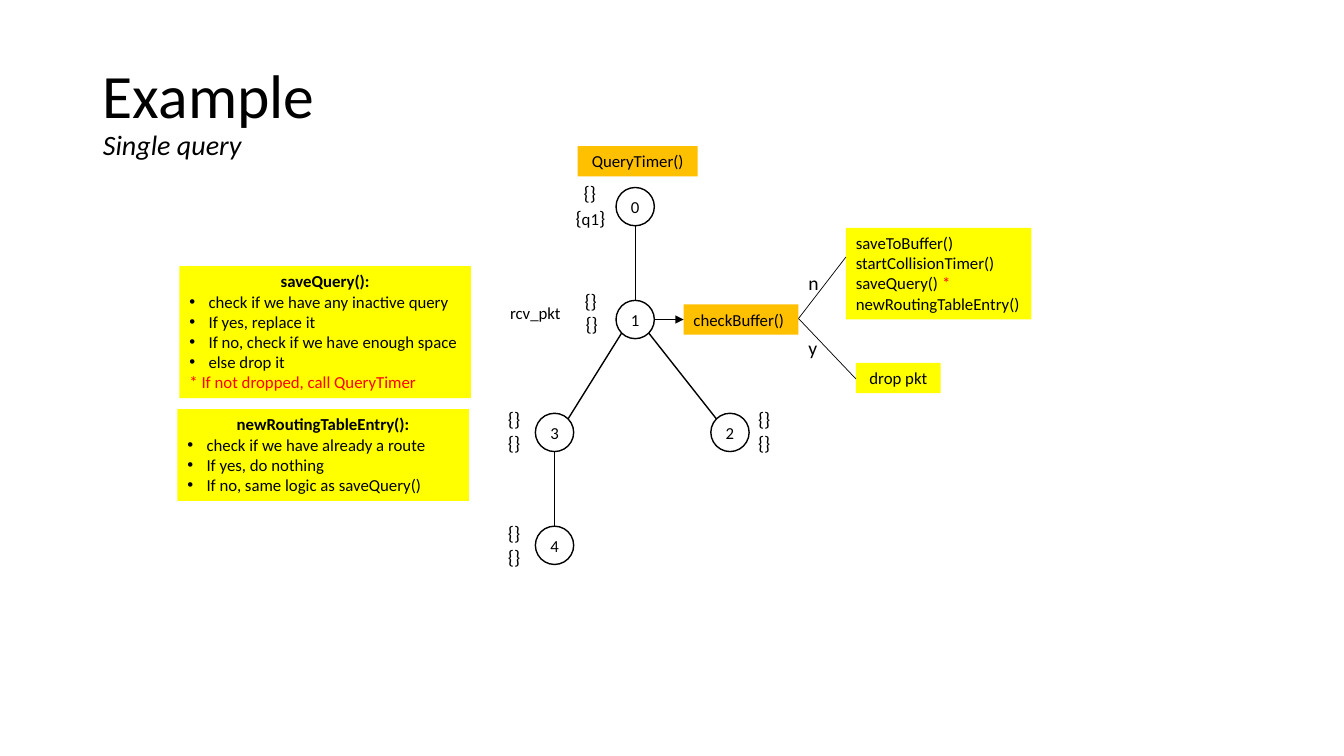
from pptx import Presentation
from pptx.dml.color import RGBColor
from pptx.enum.shapes import MSO_CONNECTOR as Conn, MSO_SHAPE as Kind
from pptx.enum.text import MSO_ANCHOR as Anchor, MSO_AUTO_SIZE as Auto, PP_ALIGN as Align
from pptx.oxml.ns import qn
from pptx.util import Inches, Pt
from lxml.etree import SubElement

HUE = {"ink": "000000", "paper": "FFFFFF", "call": "FFC000", "step": "FFFF00", "note": "FF0000"}
FONT = "Calibri"
WIDE, HIGH = 13.33, 7.5

TITLE = ("Example", "Single query")
COLS = (5.5, 6.3, 7.24)
TOP, STEP, DIAM = 2.05, 1.12, 0.38
NODES = {"0": (1, 0), "1": (1, 1), "2": (2, 2), "3": (0, 2), "4": (0, 3)}
DOWN, UP, DIAG = (0, 1), (0, -1), 0.71
EDGES = [
    ("0", DOWN, "1", UP),
    ("1", (-DIAG, DIAG), "3", (DIAG, -DIAG)),
    ("1", (DIAG, DIAG), "2", (-DIAG, -DIAG)),
    ("3", DOWN, "4", UP),
]
BRACES = [(5.69, 1.75), (5.7, 2.82), (5.71, 3.05)] + [
    (x, y + gap) for x, y in ((4.94, 3.99), (4.94, 5.12), (7.42, 3.99)) for gap in (0, 0.24)
]
QUERY = [("{", {}), ("q1", {"size": 12}), ("}", {})]
LABELS = [
    (QUERY, (5.61, 1.99, 0.49, 0.34), 14),
    ("n", (7.92, 2.64, 0.23, 0.34), 14),
    ("y", (7.92, 3.28, 0.23, 0.34), 14),
    ("rcv_pkt", (4.96, 2.95, 0.72, 0.3), 12),
]
CALLS = [
    ("QueryTimer()", (5.73, 1.45, 1.19, 0.3), "call", Align.CENTER),
    ("checkBuffer()", (6.78, 3.02, 1.14, 0.3), "call", Align.LEFT),
    ("drop pkt", (8.49, 3.6, 0.84, 0.3), "step", Align.CENTER),
]
PANELS = [
    ((8.39, 2.26, 1.84, 0.91), [
        ("plain", "saveToBuffer()"),
        ("plain", "startCollisionTimer()"),
        ("plain", [("saveQuery() ", {}), ("*", {"hue": "note"})]),
        ("plain", "newRoutingTableEntry()"),
    ]),
    ((1.78, 2.64, 2.89, 1.31), [
        ("head", "saveQuery():"),
        ("item", "check if we have any inactive query"),
        ("item", "If yes, replace it"),
        ("item", "If no, check if we have enough space"),
        ("item", "else drop it"),
        ("plain", [("* If not dropped, call QueryTimer", {"hue": "note"})]),
    ]),
    ((1.76, 4.06, 2.89, 0.91), [
        ("head", "newRoutingTableEntry():"),
        ("item", "check if we have already a route"),
        ("item", "If yes, do nothing"),
        ("item", "If no, same logic as saveQuery()"),
    ]),
]
FORK = (7.92, 3.16)
BRANCHES = [(8.39, 2.55), (8.49, 3.76)]


def tint(key):
    return RGBColor.from_string(HUE[key])


def write(para, text, size=12, hue="ink", bold=False, italic=False):
    run = para.add_run()
    run.text = text
    font = run.font
    font.name, font.size = FONT, Pt(size)
    font.bold, font.italic = bold, italic
    font.color.rgb = tint(hue)


def fill_text(frame, rows, size=12, align=Align.LEFT):
    for i, (kind, text) in enumerate(rows):
        para = frame.add_paragraph() if i else frame.paragraphs[0]
        para.alignment = Align.CENTER if kind == "head" else align
        if kind == "item":
            props = para._p.get_or_add_pPr()
            props.set("marL", str(Inches(0.19)))
            props.set("indent", str(-Inches(0.19)))
            SubElement(props, qn("a:buFont"), typeface="Arial")
            SubElement(props, qn("a:buChar"), char="•")
        runs = [(text, {})] if isinstance(text, str) else text
        for part, form in runs:
            write(para, part, **{"size": size, "bold": kind == "head", **form})


def block(box, rows, fill, kind=Kind.RECTANGLE, line=None, align=Align.LEFT):
    shape = slide.shapes.add_shape(kind, *map(Inches, box))
    shape.shadow.inherit = False
    shape.fill.solid()
    shape.fill.fore_color.rgb = tint(fill)
    if line:
        shape.line.color.rgb = tint("ink")
        shape.line.width = Pt(line)
    else:
        shape.line.fill.background()
    frame = shape.text_frame
    frame.word_wrap = True
    frame.vertical_anchor = Anchor.MIDDLE if line else Anchor.TOP
    if line:
        frame.margin_left = frame.margin_right = frame.margin_top = frame.margin_bottom = 0
    fill_text(frame, rows, align=align)


def label(text, box, size):
    frame = slide.shapes.add_textbox(*map(Inches, box)).text_frame
    frame.word_wrap = True
    frame.margin_right = 0
    fill_text(frame, [("plain", text)], size=size)


def link(start, end, width, arrow=False):
    line = slide.shapes.add_connector(Conn.STRAIGHT, *map(Inches, (*start, *end)))
    line.line.color.rgb = tint("ink")
    line.line.width = Pt(width)
    if arrow:
        SubElement(line.line._get_or_add_ln(), qn("a:tailEnd"), type="triangle")
    SubElement(line._element.spPr, qn("a:effectLst"))


def rim(name, way=(0, 0)):
    col, row = NODES[name]
    return COLS[col] + way[0] * DIAM / 2, TOP + row * STEP + way[1] * DIAM / 2


deck = Presentation()
deck.slide_width, deck.slide_height = Inches(WIDE), Inches(HIGH)
slide = deck.slides.add_slide(deck.slide_layouts[5])

title = slide.shapes.title
title.left, title.top, title.width, title.height = map(Inches, (0.92, 0.4, 3.27, 1.45))
title.text_frame.auto_size = Auto.NONE
title.text_frame.vertical_anchor = Anchor.MIDDLE
head = title.text_frame.paragraphs[0]
head.alignment, head.line_spacing = Align.LEFT, 0.9
write(head, TITLE[0], size=44)
head.add_line_break()
write(head, TITLE[1], size=20, italic=True)

for name in NODES:
    block((*rim(name, (-1, -1)), DIAM, DIAM), [("plain", name)], "paper",
          kind=Kind.OVAL, line=1, align=Align.CENTER)
for one, out, two, into in EDGES:
    link(rim(one, out), rim(two, into), 1)
for spot in BRACES:
    label("{}", (*spot, 0.4, 0.34), 14)
for text, box, size in LABELS:
    label(text, box, size)
for text, box, fill, align in CALLS:
    block(box, [("plain", text)], fill, align=align)
for box, rows in PANELS:
    block(box, rows, "step")
for end in BRANCHES:
    link(FORK, end, 0.5)
link(rim("1", (1, 0)), (6.78, 3.17), 0.5, arrow=True)

deck.save("out.pptx")
